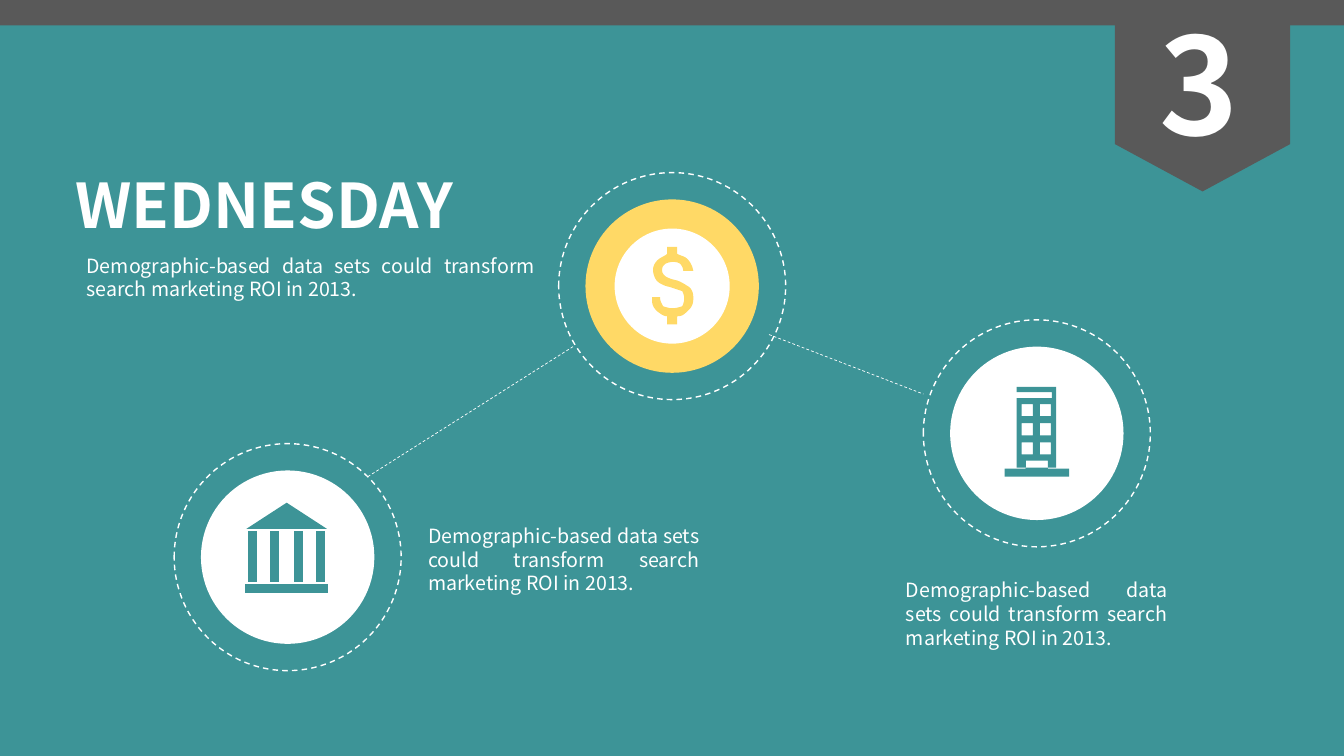
from dataclasses import dataclass

from lxml import etree
from pptx import Presentation
from pptx import util as u
from pptx.dml.color import RGBColor
from pptx.enum import dml, shapes, text
from pptx.oxml import ns

Cm = u.Cm
SHAPE = shapes.MSO_SHAPE


@dataclass(frozen=True)
class Theme:
    font: str = "Noto Sans CJK SC"
    teal: RGBColor = RGBColor(0x3D, 0x94, 0x97)
    gray: RGBColor = RGBColor(0x59, 0x59, 0x59)
    yellow: RGBColor = RGBColor(0xFF, 0xD9, 0x66)
    white: RGBColor = RGBColor(0xFF, 0xFF, 0xFF)
    number: int = 96
    title: int = 44
    body: int = 14


T = Theme()
GRID = Cm(2.54) / 100  # icon outlines are drawn on this grid
DISC, RING, COIN = 4.37, 5.72, 2.9
BLURB = "Demographic-based data sets could transform search marketing ROI in 2013."

# Icon outlines, in grid steps from the node centre
BANK_ROOF = [(-1, -54), (-41, -28), (39, -28)]
BANK_BASE = [(-42, 27), (40, 27), (40, 36), (-42, 36)]
TOWER = [(11, 27), (11, 34), (19, 34), (19, -46), (-20, -46), (-20, -41),
         (15, -41), (15, -35), (-20, -35), (-20, 34), (-11, 34), (-11, 27)]
GROUND = [(11, 35), (11, 34), (-11, 34), (-11, 35),
          (-32, 35), (-32, 43), (32, 43), (32, 35)]
# Two numbers: straight to a point; six numbers: a cubic curve
DOLLAR = [
    (15, 25), (12, 28, 10, 30, 5, 30), (5, 38), (-5, 38), (-5, 30),
    (-9, 30, -12, 27, -15, 25), (-19, 21, -20, 18, -20, 14),
    (-20, 11), (-12, 11), (-12, 12),
    (-12, 15, -10, 18, -9, 20), (-6, 21, -3, 22, 0, 22),
    (4, 22, 7, 21, 10, 20), (11, 18, 12, 15, 12, 12),
    (12, 10, 11, 7, 10, 5), (7, 4, 4, 3, -2, 1),
    (-7, 0, -12, -2, -15, -5), (-17, -7, -19, -12, -19, -16),
    (-19, -20, -17, -24, -13, -27), (-10, -29, -7, -30, -5, -32),
    (-5, -39), (5, -39), (5, -32),
    (8, -30, 12, -30, 15, -27), (18, -24, 20, -20, 21, -15), (11, -15),
    (11, -17, 10, -20, 8, -22), (7, -23, 4, -24, 1, -24),
    (-2, -24, -5, -23, -7, -22), (-9, -20, -10, -19, -10, -16),
    (-10, -13, -9, -12, -7, -10), (-6, -9, -2, -7, 3, -6),
    (8, -5, 12, -2, 17, 1), (20, 4, 21, 7, 21, 12), (21, 17, 20, 21, 15, 25),
]


def box(x, y, w, h):
    """Rectangular outline."""
    return [(x, y), (x + w, y), (x + w, y + h), (x, y + h)]


def flatten(outline, steps=6):
    """Turn the curves of an outline into short straight segments."""
    points = [outline[0]]
    for seg in outline[1:]:
        if len(seg) == 2:
            points.append(seg)
            continue
        start = points[-1]
        for i in range(1, steps + 1):
            t = i / steps
            k = 1 - t
            points.append(tuple(
                k**3 * start[a] + 3 * k * k * t * seg[a]
                + 3 * k * t * t * seg[a + 2] + t**3 * seg[a + 4]
                for a in (0, 1)))
    return points


def paint(sp, fill):
    sp.shadow.inherit = False
    sp.fill.solid()
    sp.fill.fore_color.rgb = fill
    sp.line.fill.background()


def add_solid(s, kind, x, y, w, h, fill):
    sp = s.shapes.add_shape(kind, Cm(x), Cm(y), Cm(w), Cm(h))
    paint(sp, fill)
    return sp


def add_disc(s, center, size, fill):
    x, y = center
    return add_solid(s, SHAPE.OVAL, x - size / 2, y - size / 2, size, size, fill)


def dash(line, width):
    line.color.rgb = T.white
    line.width = u.Pt(width)
    line.dash_style = dml.MSO_LINE.DASH


def add_node(s, center, fill):
    add_disc(s, center, DISC, fill)
    ring = add_disc(s, center, RING, fill)
    ring.fill.background()
    dash(ring.line, 1)


def add_link(s, x1, y1, x2, y2):
    link = s.shapes.add_connector(
        shapes.MSO_CONNECTOR.STRAIGHT, Cm(x1), Cm(y1), Cm(x2), Cm(y2))
    dash(link.line, 0.5)
    etree.SubElement(link._element.spPr, ns.qn("a:effectLst"))


def add_outline(s, center, contours, fill):
    """One freeform; contours after the first are holes."""
    x, y = map(Cm, center)
    placed = [[(x + px * GRID, y + py * GRID) for px, py in c] for c in contours]
    builder = s.shapes.build_freeform(*placed[0][0])
    builder.add_line_segments(placed[0][1:])
    for hole in placed[1:]:
        builder.move_to(*hole[0])
        builder.add_line_segments(hole[1:])
    paint(builder.convert_to_shape(), fill)


def write(sp, words, size, bold=False, align=text.PP_ALIGN.LEFT, wrap=True):
    tf = sp.text_frame
    tf.word_wrap = wrap
    tf.vertical_anchor = text.MSO_ANCHOR.TOP
    p = tf.paragraphs[0]
    p.text = words
    p.alignment = align
    p.font.name = T.font
    p.font.size = u.Pt(size)
    p.font.bold = bold
    p.font.color.rgb = T.white


def add_text(s, x, y, w, h, words, size, **style):
    write(s.shapes.add_textbox(Cm(x), Cm(y), Cm(w), Cm(h)), words, size, **style)


def add_title(s, x, y, w, h, words):
    title = s.shapes.title
    title.left, title.top, title.width, title.height = map(Cm, (x, y, w, h))
    write(title, words, T.title, bold=True, wrap=False)


def main():
    prs = Presentation()
    prs.slide_width, prs.slide_height = Cm(33.87), Cm(19.05)
    s = prs.slides.add_slide(prs.slide_layouts[5])
    s.background.fill.solid()
    s.background.fill.fore_color.rgb = T.teal

    # Top bar and numbered ribbon
    ribbon = add_solid(s, SHAPE.PENTAGON, 27.89, 0.2, 4.83, 4.42, T.gray)
    ribbon.rotation = 90
    ribbon.adjustments[0] = 0.27
    add_solid(s, SHAPE.RECTANGLE, 0, 0, 33.87, 0.64, T.gray)
    add_text(s, 28.98, -0.1, 2.62, 4.37, "3", T.number, bold=True, wrap=False)

    # Title and descriptions
    add_title(s, 1.65, 4.09, 10.8, 2.13, "WEDNESDAY")
    for area in ((1.93, 6.27, 11.81, 1.45),
                 (10.54, 13.08, 7.34, 2.06),
                 (22.58, 14.45, 7.09, 2.06)):
        add_text(s, *area, BLURB, T.body, align=text.PP_ALIGN.JUSTIFY)

    # Nodes and the links between them
    money, bank, tower = (16.94, 7.21), (7.25, 14.04), (26.13, 10.92)
    for center, fill in ((money, T.yellow), (bank, T.white), (tower, T.white)):
        add_node(s, center, fill)
    add_link(s, 9.27, 12.01, 14.48, 8.71)
    add_link(s, 19.38, 8.43, 23.27, 9.93)

    # Coin icon
    add_disc(s, money, COIN, T.white)
    add_outline(s, money, [flatten(DOLLAR)], T.yellow)

    # Bank icon
    pillars = [box(x, -26, 9, 51) for x in (-39, -18, 6, 28)]
    for part in (BANK_ROOF, BANK_BASE, *pillars):
        add_outline(s, bank, [part], T.teal)

    # Tower icon
    windows = [box(x, -29 + 19 * row, 11, 12) for row in range(3) for x in (-15, 3)]
    add_outline(s, tower, [TOWER, *windows], T.teal)
    add_outline(s, tower, [GROUND], T.teal)

    prs.save("out.pptx")


if __name__ == "__main__":
    main()
